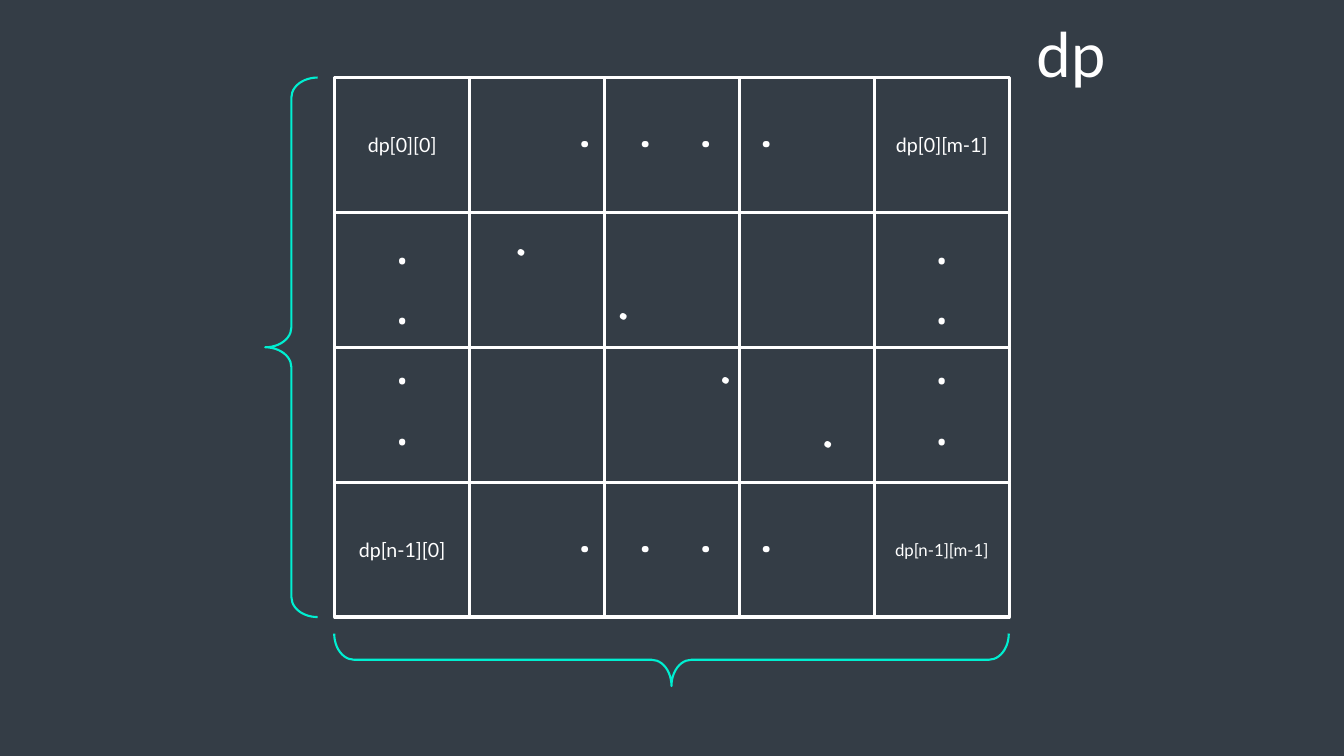
from dataclasses import dataclass
from pptx import Presentation
from pptx.dml.color import RGBColor as RGB
from pptx.enum.shapes import MSO_SHAPE as Shape
from pptx.enum.text import MSO_ANCHOR as Anchor, MSO_AUTO_SIZE as Fit, PP_ALIGN as Align
from pptx.util import Inches, Pt


@dataclass
class Theme:
    back: RGB = RGB(0x34, 0x3D, 0x46)
    white: RGB = RGB(0xFF, 0xFF, 0xFF)
    mint: RGB = RGB(0x00, 0xEF, 0xD1)
    font: str = "Lato"
    mono: str = "Noto Sans Mono"
    title: int = 44
    dot: int = 36
    label: int = 14
    small: int = 12


theme = Theme()


def write(shape, text, size=theme.label, font=theme.font, gap=0, vert=False, fit=Fit.NONE):
    frame = shape.text_frame
    frame.word_wrap = True
    frame.auto_size = fit
    if vert:
        frame._txBody.bodyPr.set("vert", "vert")
    for i, line in enumerate(text.split("\n")):
        para = frame.add_paragraph() if i else frame.paragraphs[0]
        para.alignment = Align.CENTER
        if i and gap:
            para.space_before = Pt(gap)
        run = para.add_run()
        run.text = line
        run.font.name = font
        run.font.size = Pt(size)
        run.font.color.rgb = theme.white


def draw(kind, box, color, width):
    shape = slide.shapes.add_shape(kind, *map(Inches, box))
    shape.shadow.inherit = False
    shape.line.color.rgb = color
    shape.line.width = Pt(width)
    return shape


deck = Presentation()
deck.slide_width, deck.slide_height = Inches(13.33), Inches(7.5)
slide = deck.slides.add_slide(deck.slide_layouts[6])
slide.background.fill.solid()
slide.background.fill.fore_color.rgb = theme.back

# Grid of cells, with labels in the corners
rows, cols = 4, 5
left, top, wide = 3.32, 0.77, 6.69
side = wide / cols
high = side * rows
labels = {
    (0, 0): ("dp[0][0]", theme.label),
    (0, 4): ("dp[0][m-1]", theme.label),
    (3, 0): ("dp[n-1][0]", theme.label),
    (3, 4): ("dp[n-1][m-1]", theme.small),
}
for row in range(rows):
    for col in range(cols):
        box = (left + col * side, top + row * side, side, side)
        cell = draw(Shape.RECTANGLE, box, theme.white, 2.25)
        cell.fill.solid()
        cell.fill.fore_color.rgb = theme.back
        if (row, col) in labels:
            text, size = labels[row, col]
            cell.text_frame.vertical_anchor = Anchor.MIDDLE
            write(cell, text, size=size)

# Dots along the edges and the diagonal: box, turn, vertical text, gap
runs = [
    ((3.57, 2.07, 0.84, 2.52), 0, False, 0),
    ((8.92, 2.07, 0.84, 2.52), 0, False, 0),
    ((5.49, 1.08, 2.63, 0.71), 0, True, 0),
    ((5.49, 5.1, 2.63, 0.71), 0, True, 0),
    ((4.55, 3.16, 4.44, 0.71), 32.1, True, 43),
]
for box, turn, vert, gap in runs:
    dots = slide.shapes.add_textbox(*map(Inches, box))
    dots.rotation = turn
    write(dots, "\n".join("...."), size=theme.dot, font=theme.mono,
          gap=gap, vert=vert, fit=Fit.SHAPE_TO_FIT_TEXT)

# Braces beside and below the grid
for box, turn in [((2.63, top, 0.52, high), 0), ((6.4, 3.2, 0.52, wide), 270)]:
    brace = draw(Shape.LEFT_BRACE, box, theme.mint, 1.5)
    brace.fill.background()
    brace.rotation = turn
    brace.adjustments[0] = 0.38
    brace.adjustments[1] = 0.5

# Name of the table
name = slide.shapes.add_textbox(Inches(10.1), Inches(0.11), Inches(1.05), Inches(0.84))
write(name, "dp", size=theme.title, fit=Fit.SHAPE_TO_FIT_TEXT)

deck.save("out.pptx")
